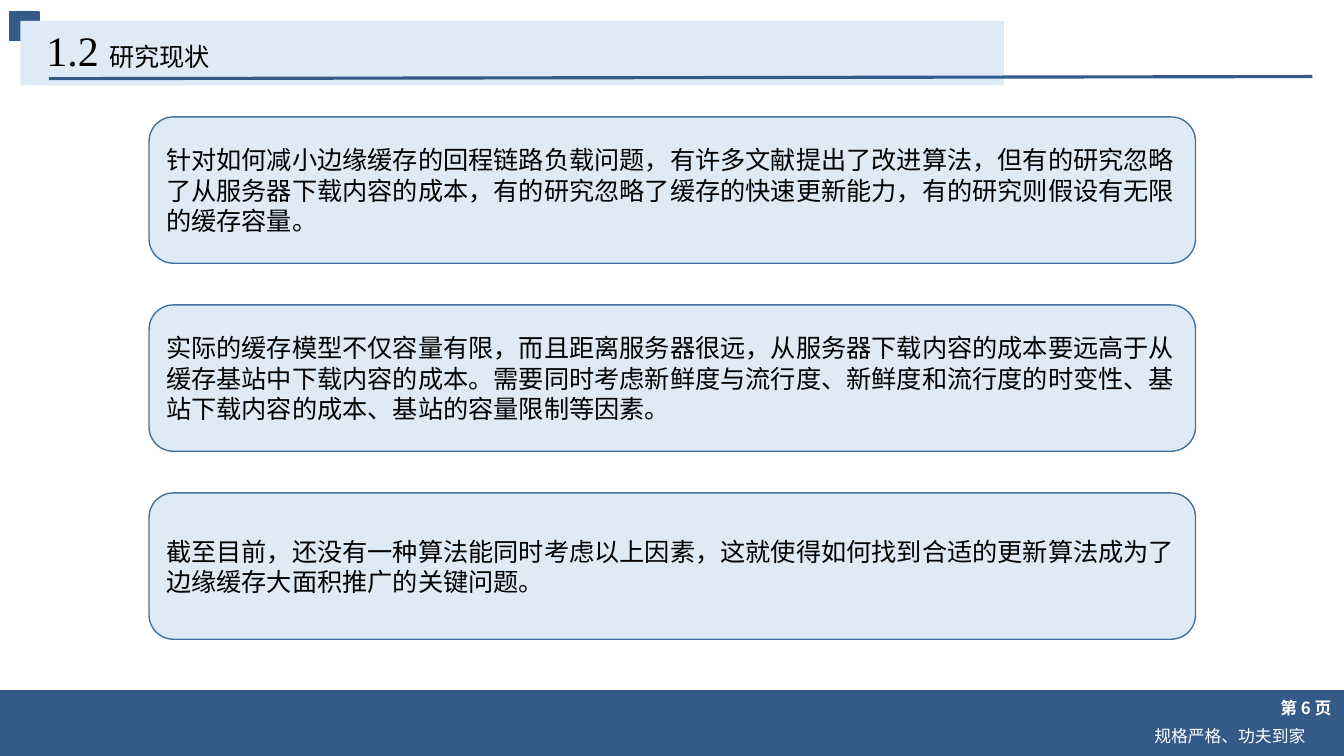
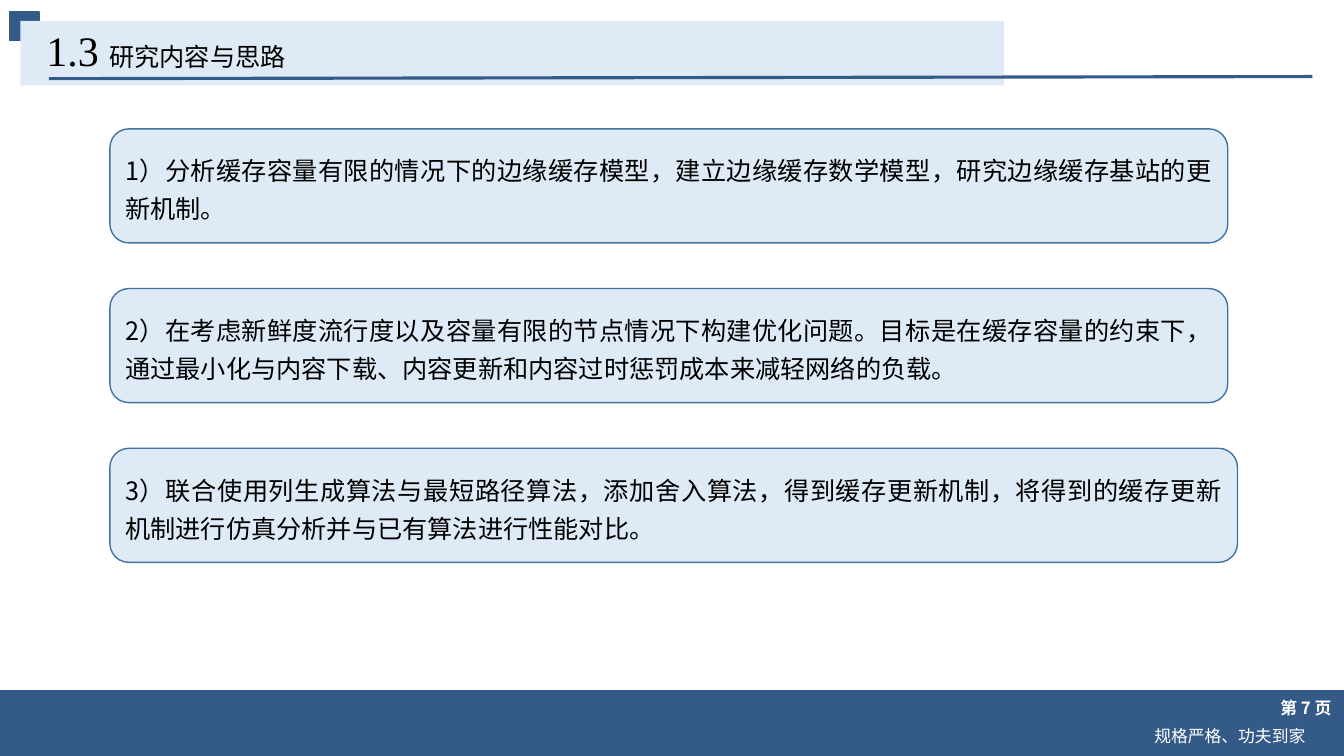
from lxml.etree import SubElement
from pptx import Presentation
from pptx.dml.color import RGBColor
from pptx.enum.shapes import MSO_CONNECTOR, MSO_SHAPE
from pptx.enum.text import MSO_ANCHOR, PP_ALIGN
from pptx.oxml.ns import qn
from pptx.util import Pt

COLORS = {
    "navy": "345A88",
    "pale": "DEEBF7",
    "edge": "43739E",
    "black": "000000",
    "white": "FFFFFF",
}
SANS = "Noto Sans CJK SC"
SERIF = "Times New Roman"


def add_text(box, text, font=SANS, size=18, color="black", bold=False,
             align=PP_ALIGN.LEFT, spacing=None, margin=None):
    """Append a run to the first paragraph of a box and format it."""
    frame = box.text_frame
    frame.word_wrap = True
    frame.vertical_anchor = MSO_ANCHOR.MIDDLE
    if margin is not None:
        frame.margin_left = frame.margin_right = Pt(margin)
        frame.margin_top = frame.margin_bottom = Pt(margin)
    para = frame.paragraphs[0]
    para.alignment = align
    para.line_spacing = spacing
    span = para.add_run()
    span.text = text
    span.font.name = font
    span.font.size = Pt(size)
    span.font.bold = bold
    span.font.color.rgb = RGBColor.from_string(COLORS[color])
    # Chinese characters take their font from a:ea
    SubElement(span.font._element, qn("a:ea"), typeface=SANS)


def add_panel(page, kind, left, top, width, height, fill, line=None):
    """Add a filled shape, outlined only if a line colour is given."""
    panel = page.shapes.add_shape(kind, Pt(left), Pt(top), Pt(width), Pt(height))
    panel.shadow.inherit = False
    panel.fill.solid()
    panel.fill.fore_color.rgb = RGBColor.from_string(COLORS[fill])
    if line:
        panel.line.color.rgb = RGBColor.from_string(COLORS[line])
        panel.line.width = Pt(1)
    else:
        panel.line.fill.background()
    return panel


# Content: cards are stacked from "top" at an equal pitch
PAGES = [
    {
        "number": "1.2", "title": "研究现状", "page": 6,
        "left": 106.5, "top": 83.5, "height": 104.5, "pitch": 134.3,
        "widths": [747.5, 747.5, 747.5],
        "format": {},
        "cards": [
            "针对如何减小边缘缓存的回程链路负载问题，有许多文献提出了改进算法，但有的研究忽略了从服务器下载内容的成本，有的研究忽略了缓存的快速更新能力，有的研究则假设有无限的缓存容量。",
            "实际的缓存模型不仅容量有限，而且距离服务器很远，从服务器下载内容的成本要远高于从缓存基站中下载内容的成本。需要同时考虑新鲜度与流行度、新鲜度和流行度的时变性、基站下载内容的成本、基站的容量限制等因素。",
            "截至目前，还没有一种算法能同时考虑以上因素，这就使得如何找到合适的更新算法成为了边缘缓存大面积推广的关键问题。",
        ],
    },
    {
        "number": "1.3", "title": "研究内容与思路", "page": 7,
        "left": 78.5, "top": 92, "height": 81.5, "pitch": 114.1,
        "widths": [798.5, 798.5, 805.5],
        "format": {"align": PP_ALIGN.JUSTIFY, "spacing": 1.25},
        "cards": [
            "1）分析缓存容量有限的情况下的边缘缓存模型，建立边缘缓存数学模型，研究边缘缓存基站的更新机制。",
            "2）在考虑新鲜度流行度以及容量有限的节点情况下构建优化问题。目标是在缓存容量的约束下，通过最小化与内容下载、内容更新和内容过时惩罚成本来减轻网络的负载。",
            "3）联合使用列生成算法与最短路径算法，添加舍入算法，得到缓存更新机制，将得到的缓存更新机制进行仿真分析并与已有算法进行性能对比。",
        ],
    },
]

deck = Presentation()
deck.slide_width, deck.slide_height = Pt(960), Pt(540)

for content in PAGES:
    page = deck.slides.add_slide(deck.slide_layouts[6])

    # Header and footer bands
    add_panel(page, MSO_SHAPE.RECTANGLE, 7, 8.5, 21, 20, "navy", line="navy")
    add_panel(page, MSO_SHAPE.RECTANGLE, 0, 493, 960, 47, "navy")
    add_panel(page, MSO_SHAPE.RECTANGLE, 14.5, 15, 702.5, 46, "pale")

    # Title rule
    rule = page.shapes.add_connector(
        MSO_CONNECTOR.STRAIGHT, Pt(35), Pt(56.2), Pt(937.5), Pt(54.7))
    rule.line.color.rgb = RGBColor.from_string(COLORS["navy"])
    rule.line.width = Pt(2.25)
    SubElement(rule._element.spPr, qn("a:effectLst"))

    # Page number and motto
    box = page.shapes.add_textbox(Pt(867), Pt(488), Pt(84), Pt(35.5))
    add_text(box, f"第 {content['page']} 页", size=12, color="white", bold=True,
             align=PP_ALIGN.RIGHT, margin=0)
    box = page.shapes.add_textbox(Pt(824.5), Pt(518.5), Pt(126), Pt(14.5))
    add_text(box, "规格严格、功夫到家", size=12, color="white",
             align=PP_ALIGN.JUSTIFY, margin=0)

    # Title
    box = page.shapes.add_textbox(Pt(26), Pt(18), Pt(702.5), Pt(39.5))
    add_text(box, content["number"] + " ", font=SERIF, size=30, spacing=0.9)
    add_text(box, content["title"], font=SERIF, spacing=0.9)

    # Cards
    for row, (text, width) in enumerate(zip(content["cards"], content["widths"])):
        card = add_panel(page, MSO_SHAPE.ROUNDED_RECTANGLE, content["left"],
                         content["top"] + row * content["pitch"], width,
                         content["height"], "pale", line="edge")
        add_text(card, text, **content["format"])

deck.save("out.pptx")
